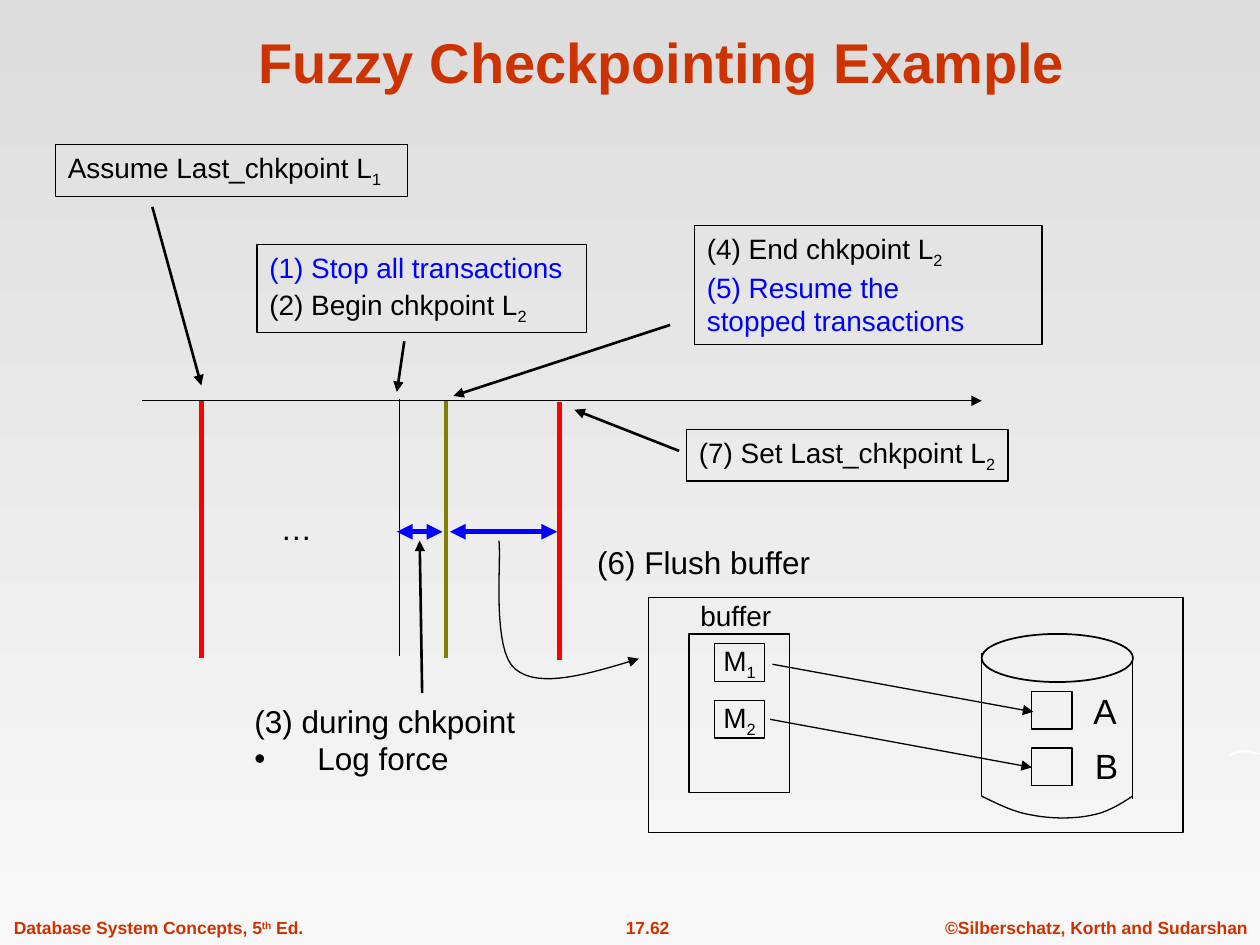
from pptx import Presentation
from pptx.dml.color import RGBColor
from pptx.enum.shapes import MSO_CONNECTOR, MSO_SHAPE
from pptx.enum.text import MSO_ANCHOR, PP_ALIGN
from pptx.oxml.ns import qn
from pptx.util import Cm, Pt
from lxml import etree

RECT, OVAL = MSO_SHAPE.RECTANGLE, MSO_SHAPE.OVAL
LINE = MSO_CONNECTOR.STRAIGHT
LEFT, MID, RIGHT = PP_ALIGN.LEFT, PP_ALIGN.CENTER, PP_ALIGN.RIGHT
TOP, CORE, LOW = MSO_ANCHOR.TOP, MSO_ANCHOR.MIDDLE, MSO_ANCHOR.BOTTOM

THEME = {
    "font": "Arial",
    "ink": "000000", "blue": "0000FF", "red": "FF0000", "olive": "808000",
    "rust": "CC3300", "white": "FFFFFF", "dim": "DDDDDD", "pale": "F8F8F8",
    "head": 32, "big": 20, "note": 18, "body": 16, "foot": 10,
    "thin": 0.75, "rim": 1, "bold": 1.5, "mark": 2.5, "span": 3,
}

TITLE = "Fuzzy Checkpointing Example"
FOOT = [
    (0.03, 8, LEFT, [("Database System Concepts, 5", 0), ("th", 30), (" Ed.", 0)]),
    (11.71, 2.69, MID, [("17.62", 0)]),
    (17.4, 8, RIGHT, [("©Silberschatz, Korth and Sudarshan", 0)]),
]
STEPS = [
    ((1.12, 2.92, 7.09, 1.04), True, [("Assume Last_chkpoint L", "1", "ink", 0)]),
    ((5.18, 4.93, 6.65, 1.78), True, [("(1) Stop all transactions", "", "blue", 0),
                                      ("(2) Begin chkpoint L", "2", "ink", 2)]),
    ((14, 4.55, 7.01, 2.39), True, [("(4) End chkpoint L", "2", "ink", 0),
                                    ("(5) Resume the", "", "blue", 0),
                                    ("stopped transactions", "", "blue", 0)]),
    ((13.84, 8.66, 6.48, 1.04), False, [("(7) Set Last_chkpoint L", "2", "ink", 0)]),
]
NOTES = [
    ((11.79, 10.82, 7.34, 1.02), True, "note", ["(6) Flush buffer"]),
    ((5.41, 10.13, 1.14, 1.02), False, "note", ["…"]),
    ((13.87, 11.94, 1.93, 0.94), False, "body", ["buffer"]),
    ((21.79, 13.77, 0.97, 1.12), False, "big", ["A"]),
    ((21.82, 14.88, 0.97, 1.12), False, "big", ["B"]),
]
DURING = ["(3) during chkpoint", "Log force"]
FRAMES = [
    (RECT, (13.08, 12.04, 10.77, 4.75), "thin"),
    (RECT, (13.89, 12.78, 2.03, 3.2), "thin"),
    (OVAL, (19.79, 12.78, 3.05, 0.97), "rim"),
]
PAGES, ROW = ["1", "2"], 1.14
LINES = [
    ((2.87, 8.08), (19.79, 8.08), "ink", "thin", "tail"),
    ((8.05, 8.05), (8.05, 13.23), "ink", "thin", ""),
    ((4.06, 8.08), (4.06, 13.26), "red", "mark", ""),
    ((8.99, 8.08), (8.99, 13.26), "olive", "mark", ""),
    ((11.28, 8.1), (11.28, 13.31), "red", "mark", ""),
    ((8, 10.72), (8.92, 10.72), "blue", "span", "head tail"),
    ((9.07, 10.72), (11.23, 10.72), "blue", "span", "head tail"),
    ((3.07, 4.17), (4.06, 7.77), "ink", "bold", "tail"),
    ((8.15, 6.88), (8, 7.9), "ink", "bold", "tail"),
    ((13.51, 6.55), (9.14, 7.98), "ink", "bold", "tail"),
    ((8.51, 13.97), (8.46, 10.9), "ink", "bold", "tail"),
    ((13.69, 9.09), (11.58, 8.26), "ink", "bold", "tail"),
    ((19.79, 13.16), (19.79, 16.05), "ink", "thin", ""),
    ((22.83, 13.21), (22.83, 16.1), "ink", "thin", ""),
    ((15.57, 13.39), (20.83, 14.35), "ink", "thin", "tail"),
    ((15.52, 14.5), (20.8, 15.47), "ink", "thin", "tail"),
]
CURVES = [
    ([(19.79, 16.05), (20.12, 16.21), (20.45, 16.38), (20.8, 16.43), (21.18, 16.51),
      (21.69, 16.51), (22.02, 16.43), (22.35, 16.38), (22.71, 16.13), (22.83, 16.05)], ""),
    ([(12.88, 13.28), (11.86, 13.59), (10.87, 13.89), (10.39, 13.49), (9.91, 13.11),
      (10.11, 11.33), (10.06, 10.9)], "head"),
]
STREAK = [(24.77, 15.27), (24.82, 15.18), (24.95, 15.13), (25.07, 15.11), (25.2, 15.15),
          (25.4, 15.19), (25.35, 15.21), (25.1, 15.16), (24.9, 15.19)]

deck = Presentation()
deck.slide_width, deck.slide_height = Cm(25.4), Cm(19.05)
slide = deck.slides.add_slide(deck.slide_layouts[5])
shapes = slide.shapes


def tint(name):
    return RGBColor.from_string(THEME[name])


def style(font, size, hue="ink", bold=False):
    font.name, font.size, font.bold = THEME["font"], Pt(THEME[size]), bold
    font.color.rgb = tint(hue)


def stroke(item, hue, width, ends=""):
    item.line.color.rgb = tint(hue)
    item.line.width = Pt(THEME[width])
    for end in ends.split():
        etree.SubElement(item.line._get_or_add_ln(), qn(f"a:{end}End"), type="triangle")


def frame(kind, box, width="thin"):
    item = shapes.add_shape(kind, *map(Cm, box))
    item.shadow.inherit = False
    item.fill.background()
    stroke(item, "ink", width)
    return item


def setup(item, wrap, anchor=TOP):
    text = item.text_frame
    text.word_wrap, text.vertical_anchor = wrap, anchor
    return text


def label(box, wrap):
    return setup(shapes.add_textbox(*map(Cm, box)), wrap)


def write(para, parts, size, hue="ink", align=LEFT, bold=False):
    para.alignment = align
    for words, shift in parts:
        run = para.add_run()
        run.text = words
        style(run.font, size, hue, bold)
        if shift:
            run._r.get_or_add_rPr().set("baseline", str(shift * 1000))


def lines(text, words, size):
    text.text = "\n".join(words)
    for para in text.paragraphs:
        para.alignment = LEFT
        for run in para.runs:
            style(run.font, size)


def bend(knots, count=16):
    dots = [knots[0]]
    for at in range(0, len(knots) - 1, 3):
        a, b, c, d = knots[at:at + 4]
        for step in range(1, count + 1):
            t = step / count
            u = 1 - t
            dots.append(tuple(u**3 * p + 3 * u * u * t * q + 3 * u * t * t * r + t**3 * s
                              for p, q, r, s in zip(a, b, c, d)))
    return dots


def trace(dots, close=False):
    first, *rest = [(Cm(x), Cm(y)) for x, y in dots]
    pen = shapes.build_freeform(*first)
    pen.add_line_segments(rest, close=close)
    item = pen.convert_to_shape()
    item.shadow.inherit = False
    return item


fill = slide.background.fill
fill.gradient()
fill.gradient_angle = 270
for stop, hue in zip(fill.gradient_stops, ("dim", "pale")):
    stop.color.rgb = tint(hue)

title = shapes.title
title.left, title.top, title.width, title.height = map(Cm, (2.13, 0.33, 22.43, 1.7))
text = setup(title, True, LOW)
text.text = TITLE
text.paragraphs[0].alignment = MID
style(text.paragraphs[0].runs[0].font, "head", "rust", True)

for left, width, align, parts in FOOT:
    text = label((left, 18.36, width, 0.69), True)
    write(text.paragraphs[0], parts, "foot", "rust", align, True)

streak = trace(STREAK, True)
streak.fill.solid()
streak.fill.fore_color.rgb = tint("white")
streak.line.fill.background()

for kind, box, width in FRAMES:
    frame(kind, box, width)

for row, page in enumerate(PAGES):
    text = setup(frame(RECT, (14.4, 12.98 + row * ROW, 1.02, 0.76)), False, CORE)
    write(text.paragraphs[0], [("M", 0), (page, -25)], "body", align=MID)
    frame(RECT, (20.8, 13.94 + row * ROW, 0.81, 0.76))

for start, end, hue, width, ends in LINES:
    item = shapes.add_connector(LINE, *map(Cm, start + end))
    stroke(item, hue, width, ends)
    etree.SubElement(item._element.spPr, qn("a:effectLst"))

for knots, ends in CURVES:
    item = trace(bend(knots))
    item.fill.background()
    stroke(item, "ink", "thin", ends)

for box, wrap, paras in STEPS:
    text = setup(frame(RECT, box), wrap)
    for at, (words, sub, hue, gap) in enumerate(paras):
        para = text.add_paragraph() if at else text.paragraphs[0]
        para.space_before = Pt(gap)
        write(para, [(words, 0)] + ([(sub, -25)] if sub else []), "body", hue)

for box, wrap, size, words in NOTES:
    lines(label(box, wrap), words, size)

text = label((4.88, 14.02, 8.31, 1.78), True)
lines(text, DURING, "note")
for para in text.paragraphs:
    prop = para._p.get_or_add_pPr()
    prop.set("marL", str(Cm(1.27)))
    prop.set("indent", str(-Cm(1.27)))
etree.SubElement(prop, qn("a:buFont"), typeface=THEME["font"])
etree.SubElement(prop, qn("a:buChar"), char="•")

deck.save("out.pptx")
